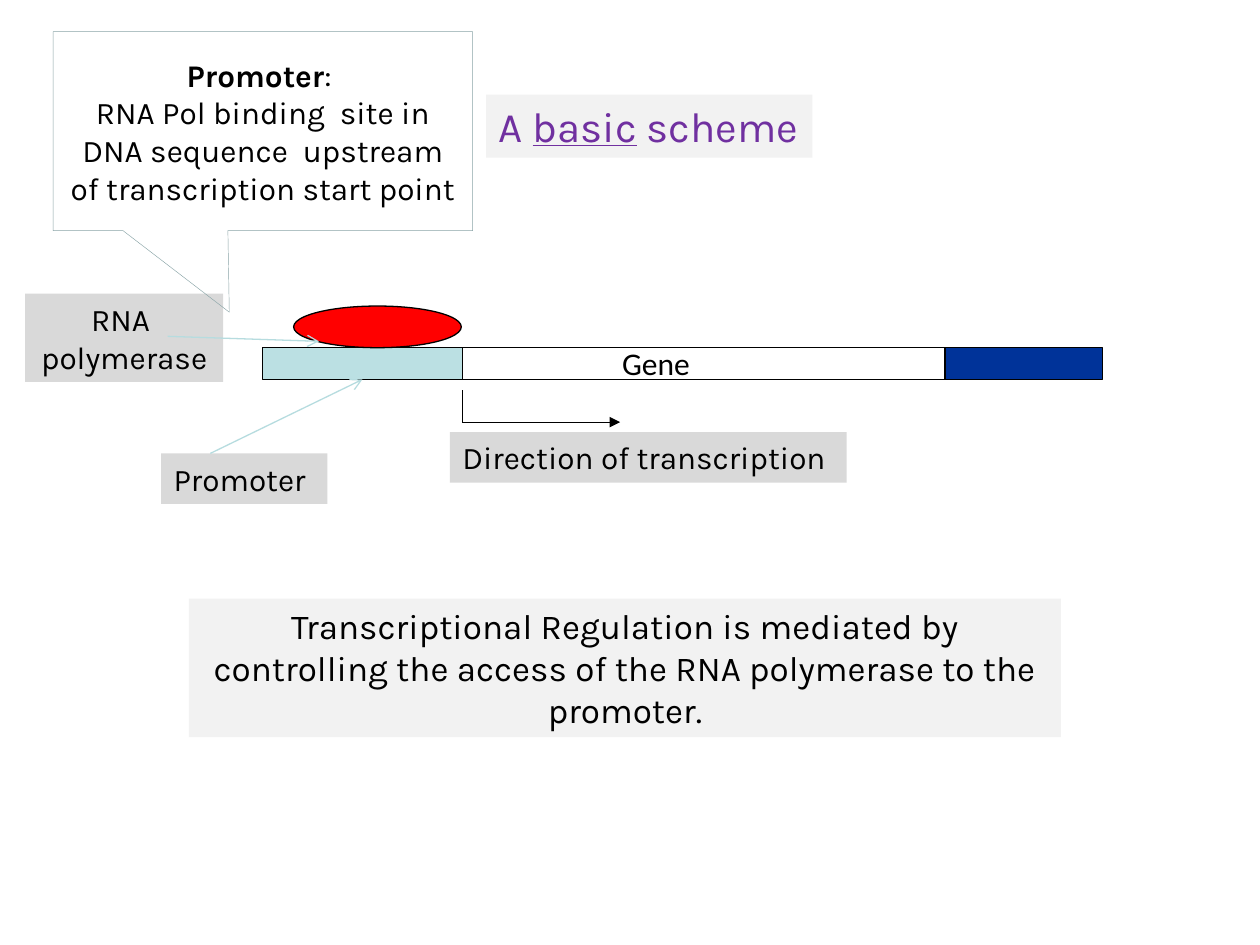
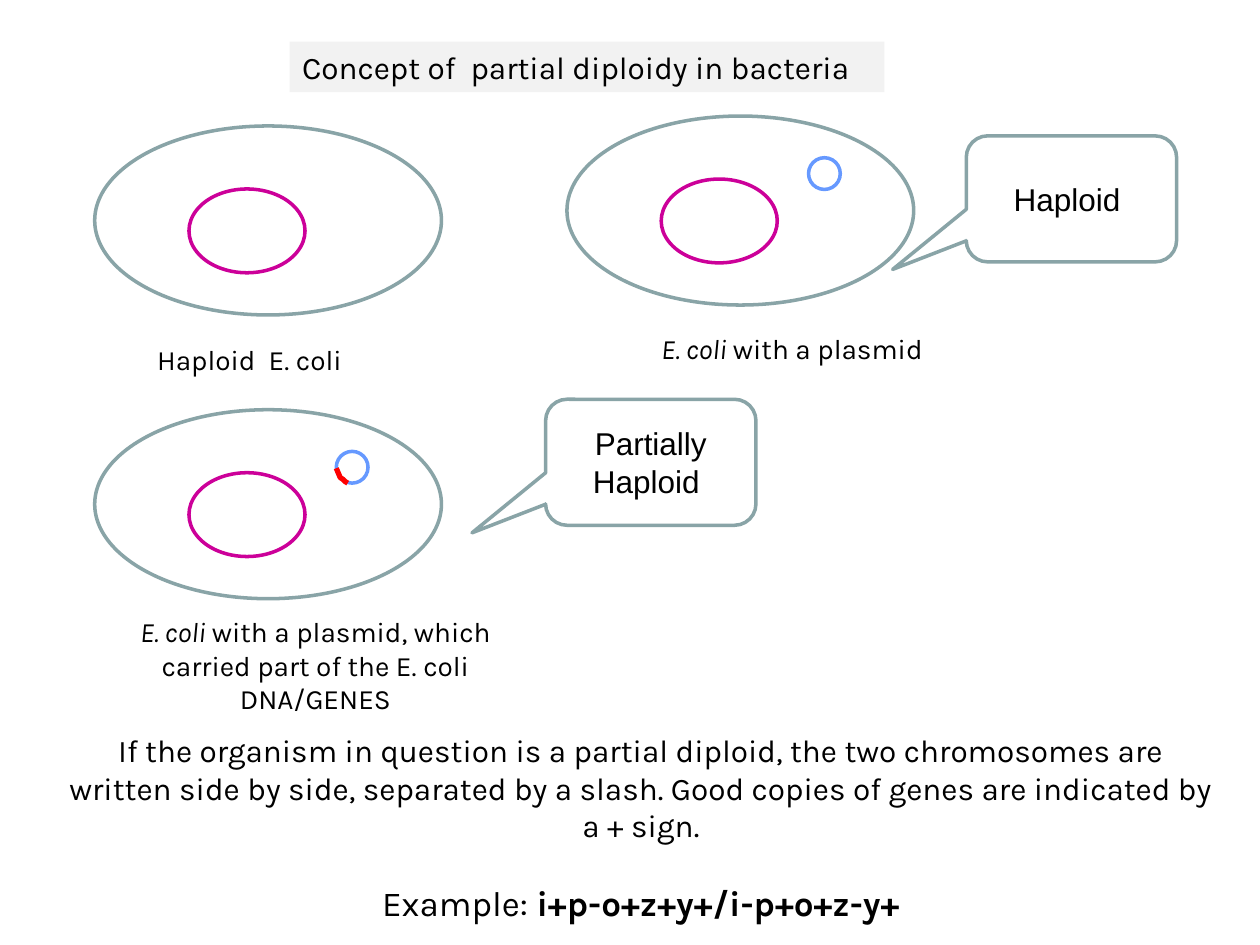
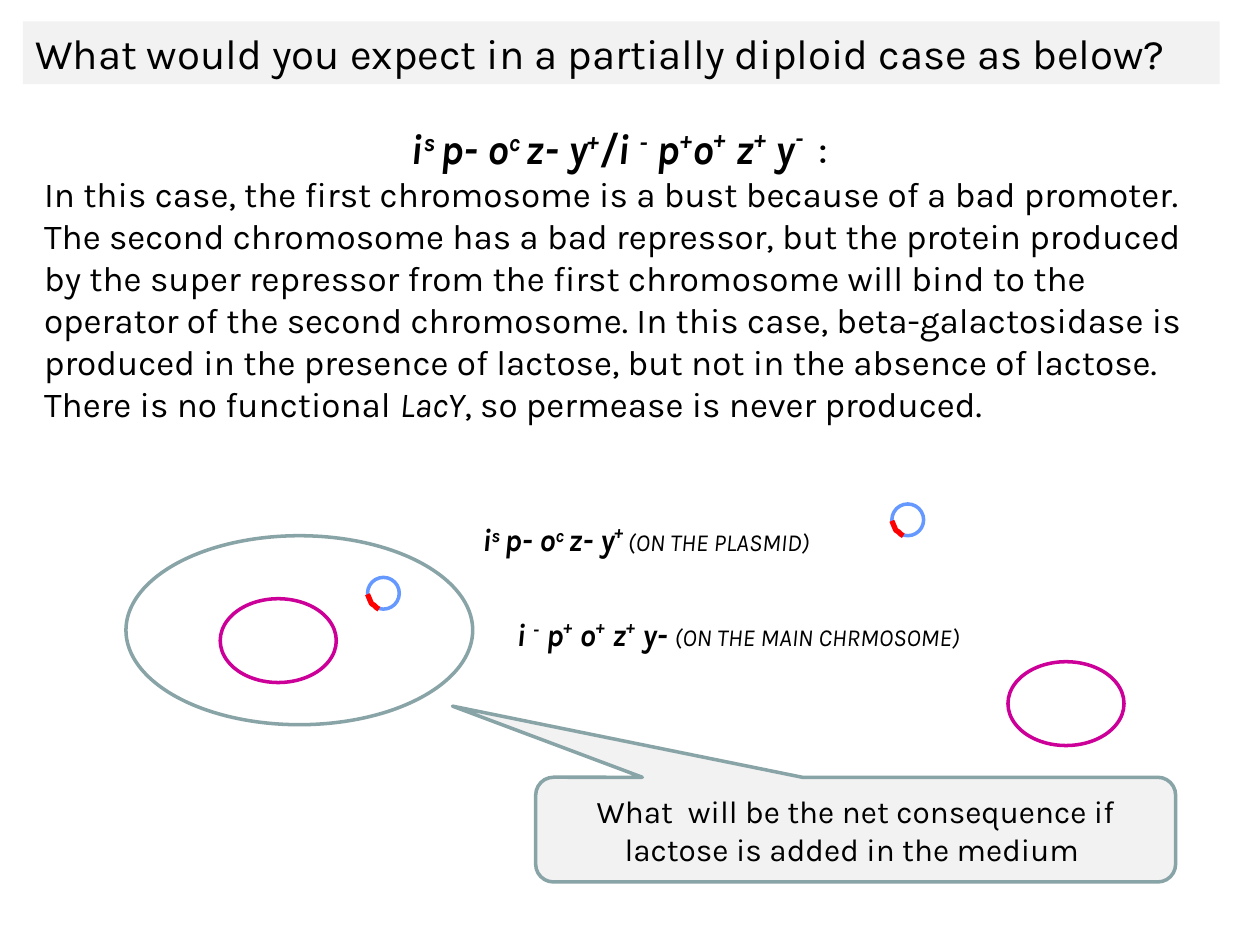
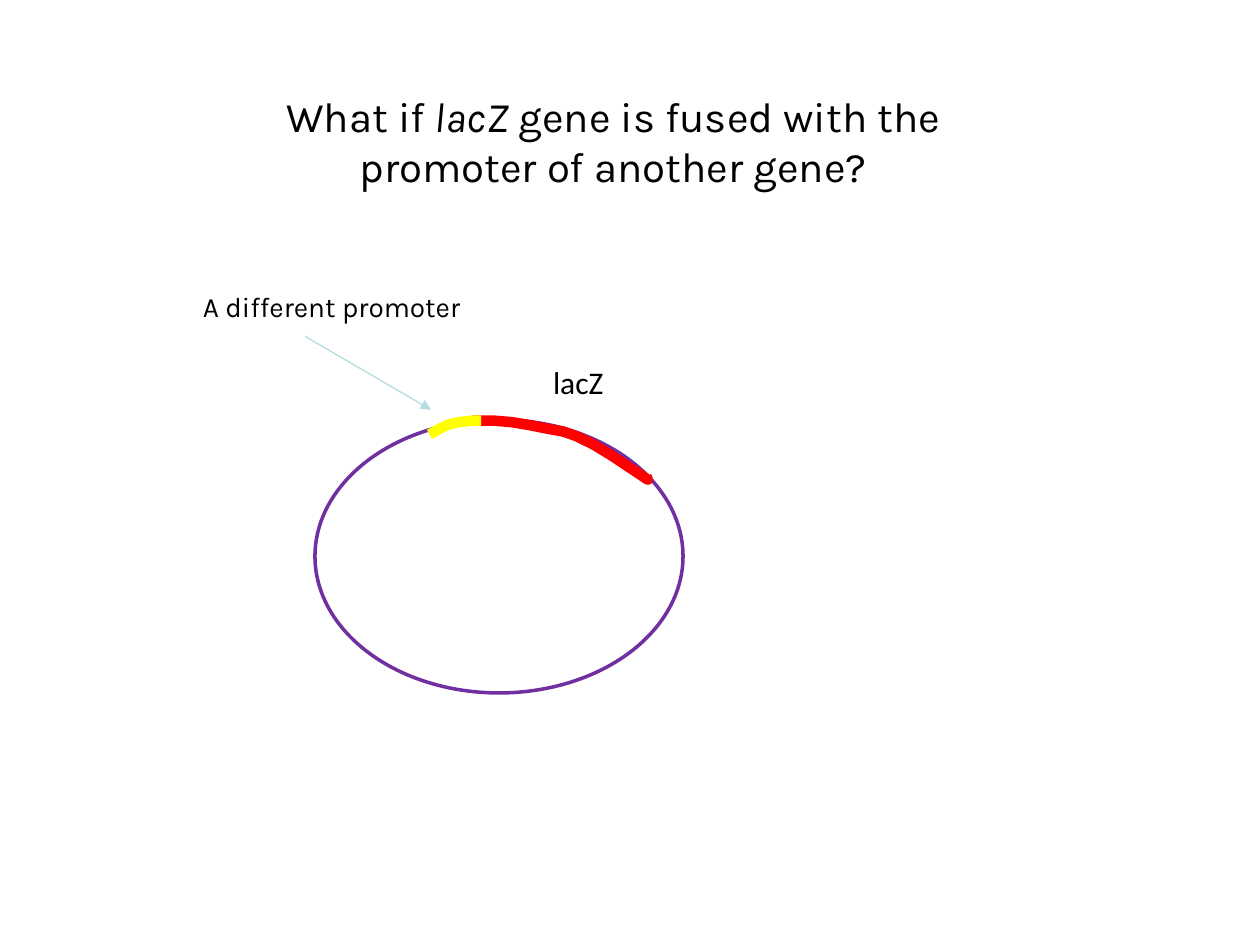
from dataclasses import dataclass
from typing import NamedTuple

from lxml import etree
from pptx import Presentation
from pptx.dml.color import RGBColor
from pptx.enum.shapes import MSO_CONNECTOR, MSO_SHAPE
from pptx.enum.text import MSO_ANCHOR, PP_ALIGN
from pptx.oxml.ns import qn
from pptx.util import Cm, Pt

RECTANGLE = MSO_SHAPE.RECTANGLE
OVAL = MSO_SHAPE.OVAL
SQUARE_CALLOUT = MSO_SHAPE.RECTANGULAR_CALLOUT
ROUND_CALLOUT = MSO_SHAPE.ROUNDED_RECTANGULAR_CALLOUT
STRAIGHT = MSO_CONNECTOR.STRAIGHT
LEFT, CENTER = PP_ALIGN.LEFT, PP_ALIGN.CENTER
TOP, MIDDLE = MSO_ANCHOR.TOP, MSO_ANCHOR.MIDDLE

# Shared look
BLACK, WHITE, RED, YELLOW = "000000", "FFFFFF", "FF0000", "FFFF00"
PALE, GREY, SLATE = "F2F2F2", "D9D9D9", "89A4A7"
AQUA, POINTER, NAVY = "BBE0E3", "B6DCDF", "003399"
MAGENTA, BLUE, PURPLE = "CC0099", "6699FF", "7030A0"
FONT, GENE_FONT, CALLOUT_FONT = "Karla", "Calibri", "Arial"
THIN, OUTLINE = 0.75, 2

# Cell parts, in cm from the corner of the cell
CELL_SIZE = (6.99, 3.81)
CHROMOSOME_OFFSET, CHROMOSOME_SIZE = (1.9, 1.27), (2.34, 1.69)
PLASMID_OFFSET, PLASMID_SIZE = (4.87, 0.84), (0.64, 0.64)
INSERT_POINTS = [(0, 0.34), (0.08, 0.53), (0.13, 0.56), (0.18, 0.61), (0.23, 0.64)]


class Frame(NamedTuple):
    left: float
    top: float
    width: float
    height: float


@dataclass
class Span:
    text: str
    bold: bool = False
    italic: bool = False
    underline: bool = False
    raised: int = 0
    size: float | None = None


@dataclass
class Paragraph:
    spans: list[Span]
    align: PP_ALIGN = LEFT
    size: float = 18
    font: str = FONT
    color: str = BLACK
    space_before: float = 0


@dataclass
class Block:
    """A shape or label with optional text."""
    frame: Frame
    paragraphs: tuple[Paragraph, ...] = ()
    kind: MSO_SHAPE = RECTANGLE
    fill: str | None = None
    line: str | None = None
    weight: float = THIN
    anchor: MSO_ANCHOR = TOP
    adjustments: tuple[float, ...] = ()


def rgb(value: str) -> RGBColor:
    return RGBColor.from_string(value)


def plain(text: str, **style) -> Paragraph:
    return Paragraph([Span(text)], **style)


def genotype(*parts: tuple[str, int]) -> list[Span]:
    """Bold italic gene names, each part with its raise in percent."""
    return [Span(text, bold=True, italic=True, raised=raised) for text, raised in parts]


def write(box, block: Block) -> None:
    frame = box.text_frame
    frame.word_wrap = True
    frame.vertical_anchor = block.anchor
    for index, content in enumerate(block.paragraphs):
        para = frame.paragraphs[0] if index == 0 else frame.add_paragraph()
        para.alignment = content.align
        if content.space_before:
            para.space_before = Pt(content.space_before)
        for piece in content.spans:
            span = para.add_run()
            span.text = piece.text
            values = {
                "name": content.font,
                "size": Pt(piece.size or content.size),
                "bold": piece.bold,
                "italic": piece.italic,
                "underline": piece.underline,
            }
            for name, value in values.items():
                setattr(span.font, name, value)
            span.font.color.rgb = rgb(content.color)
            if piece.raised:
                span._r.get_or_add_rPr().set("baseline", str(piece.raised * 1000))


def draw(page, block: Block):
    box = page.shapes.add_shape(block.kind, *map(Cm, block.frame))
    box.shadow.inherit = False
    for index, value in enumerate(block.adjustments):
        box.adjustments[index] = value
    if block.fill:
        box.fill.solid()
        box.fill.fore_color.rgb = rgb(block.fill)
    else:
        box.fill.background()
    if block.line:
        box.line.color.rgb = rgb(block.line)
        box.line.width = Pt(block.weight)
    else:
        box.line.fill.background()
    if block.paragraphs:
        write(box, block)
    return box


def draw_line(page, start: tuple, end: tuple, color: str, arrow: str | None = None):
    line = page.shapes.add_connector(STRAIGHT, *map(Cm, start + end))
    line.line.color.rgb = rgb(color)
    line.line.width = Pt(THIN)
    if arrow:
        etree.SubElement(line.line._get_or_add_ln(), qn("a:tailEnd"), type=arrow)
    etree.SubElement(line._element.spPr, qn("a:effectLst"))
    return line


def draw_stroke(page, points: list, color: str, weight: float) -> None:
    """Open outline through points given in cm."""
    corners = [(Cm(x), Cm(y)) for x, y in points]
    builder = page.shapes.build_freeform(*corners[0])
    builder.add_line_segments(corners[1:], close=False)
    stroke = builder.convert_to_shape()
    stroke.shadow.inherit = False
    stroke.fill.background()
    stroke.line.color.rgb = rgb(color)
    stroke.line.width = Pt(weight)


def draw_ring(page, corner: tuple, size: tuple, color: str) -> None:
    draw(page, Block(Frame(*corner, *size), kind=OVAL, line=color, weight=OUTLINE))


def shift(corner: tuple, offset: tuple) -> tuple:
    return corner[0] + offset[0], corner[1] + offset[1]


def draw_plasmid(page, corner: tuple, insert: bool) -> None:
    draw_ring(page, corner, PLASMID_SIZE, BLUE)
    if insert:
        draw_stroke(page, [shift(corner, point) for point in INSERT_POINTS], RED, 3)


def draw_cell(page, corner: tuple, plasmid: bool = True, insert: bool = False) -> None:
    draw_ring(page, corner, CELL_SIZE, SLATE)
    draw_ring(page, shift(corner, CHROMOSOME_OFFSET), CHROMOSOME_SIZE, MAGENTA)
    if plasmid:
        draw_plasmid(page, shift(corner, PLASMID_OFFSET), insert)


def basic_scheme(page) -> None:
    # DNA strip: promoter, gene, terminator
    left, parts = 5.29, []
    for width, fill in ((4.03, AQUA), (9.73, None), (3.17, NAVY)):
        parts.append(draw(page, Block(Frame(left, 7.01, width, 0.64), fill=fill, line=BLACK)))
        left += width
    promoter = parts[0]

    # Direction of transcription
    corner = (9.32, 8.51)
    draw_line(page, (9.32, 7.87), corner, BLACK)
    draw_line(page, corner, (12.5, 8.51), BLACK, "triangle")

    # Polymerase and labels
    blocks = [
        Block(Frame(5.92, 6.17, 3.38, 0.84), kind=OVAL, fill=RED, line=BLACK),
        Block(Frame(3.81, 12.07, 17.58, 2.79), (plain(
            "Transcriptional Regulation is mediated by controlling the access "
            "of the RNA polymerase to the promoter.", align=CENTER, size=20),), fill=PALE),
        Block(Frame(0.51, 5.92, 3.99, 1.78),
              (plain("RNA ", align=CENTER), plain("polymerase", align=CENTER)), fill=GREY),
        Block(Frame(12.29, 6.81, 2.01, 1.02), (plain("Gene", font=GENE_FONT),)),
        Block(Frame(3.25, 9.14, 3.35, 1.02), (plain("Promoter"),), fill=GREY),
        Block(Frame(9.07, 8.71, 8, 1.02), (plain("Direction of transcription"),), fill=GREY),
        Block(Frame(9.8, 1.91, 6.58, 1.27), (Paragraph(
            [Span("A "), Span("basic", underline=True), Span(" scheme")],
            size=24, color=PURPLE),), fill=PALE),
        Block(Frame(1.07, 0.64, 8.46, 4.01), (
            Paragraph([Span("Promoter", bold=True), Span(": ")], CENTER),
            plain("RNA Pol binding  site in DNA sequence  upstream of "
                  "transcription start point", align=CENTER)),
            kind=SQUARE_CALLOUT, line=SLATE, weight=0.25, anchor=MIDDLE,
            adjustments=(-0.08, 0.91)),
    ]
    for block in blocks:
        draw(page, block)

    # Pointers
    pointer = draw_line(page, (4.24, 9.14), (7.3, 7.65), POINTER, "arrow")
    pointer.end_connect(promoter, 2)
    draw_line(page, (3.38, 6.78), (6.43, 6.88), POINTER, "arrow")


def partial_diploidy(page) -> None:
    draw(page, Block(Frame(5.84, 0.84, 11.99, 1.02),
                     (plain("Concept of  partial diploidy in bacteria"),), fill=PALE))

    # Three kinds of cell
    draw_cell(page, (1.91, 2.54), plasmid=False)
    draw_cell(page, (11.43, 2.34))
    draw_cell(page, (1.91, 8.26), insert=True)

    # Captions
    species = Span("E. coli ", italic=True)
    captions = [
        (Frame(2.92, 6.78, 4.37, 0.94), [Span("Haploid  E. coli")], LEFT),
        (Frame(13.08, 6.55, 5.94, 0.94), [species, Span("with a plasmid")], LEFT),
        (Frame(1.7, 12.27, 9.32, 2.29), [species, Span(
            "with a plasmid, which carried part of the E. coli DNA/GENES")], CENTER),
    ]
    for frame, spans, align in captions:
        draw(page, Block(frame, (Paragraph(spans, align, size=16),)))

    # Callouts
    for left, top, text in ((19.48, 2.74, "Haploid "), (11, 8.05, "Partially Haploid ")):
        draw(page, Block(Frame(left, top, 4.24, 2.54),
                         (plain(text, align=CENTER, font=CALLOUT_FONT),),
                         kind=ROUND_CALLOUT, line=SLATE, weight=OUTLINE, anchor=MIDDLE,
                         adjustments=(-0.85, 0.56, 0.17)))

    # Notation
    draw(page, Block(Frame(1.07, 14.61, 23.7, 4.17), (
        plain("If the organism in question is a partial diploid, the two chromosomes are "
              "written side by side, separated by a slash. Good copies of genes are "
              "indicated by a + sign.", align=CENTER),
        Paragraph([Span("Example: "), Span("i+p-o+z+y+/i-p+o+z-y+", bold=True)],
                  CENTER, size=20, space_before=21))))


def diploid_question(page) -> None:
    # Genotype and explanation
    heading = [Span(" ")] + genotype(
        ("i", 0), ("s ", 30), ("p- o", 0), ("c ", 30), ("z- y", 0), ("+", 36),
        ("/i ", 0), ("-", 30), (" p", 0), ("+", 38), ("o", 0), ("+", 40),
        (" z", 0), ("+", 40), (" y", 0), ("- ", 40)) + [Span(" :")]
    explanation = [
        Span("In this case, the first chromosome is a bust because of a bad promoter. "
             "The second chromosome has a bad repressor, but the protein produced by the "
             "super repressor from the first chromosome will bind to the operator of the "
             "second chromosome. In this case, beta-galactosidase is produced in the "
             "presence of lactose, but not in the absence of lactose. There is no "
             "functional "),
        Span("LacY", italic=True),
        Span(", so permease is never produced."),
    ]
    draw(page, Block(Frame(0.64, 2.34, 23.5, 7.21), (
        Paragraph(heading, CENTER, size=24), Paragraph(explanation, size=20))))

    # Cell and question
    draw_cell(page, (2.54, 10.8), insert=True)
    draw(page, Block(Frame(10.8, 15.67, 12.9, 2.11), (plain(
        "What  will be the net consequence if lactose is added in the medium ",
        align=CENTER),), kind=ROUND_CALLOUT, fill=PALE, line=SLATE, weight=OUTLINE,
        anchor=MIDDLE, adjustments=(-0.63, -1.18, 0.17)))

    # Genes on each molecule
    on_plasmid = [Span(" ")] + genotype(
        ("i", 0), ("s ", 30), ("p- o", 0), ("c ", 30), ("z- y", 0), ("+ ", 40))
    on_chromosome = genotype(
        ("i ", 0), ("-", 30), (" p", 0), ("+", 40), (" o", 0), ("+", 40),
        (" z", 0), ("+", 40), (" y- ", 0))
    for frame, spans, place in (
        (Frame(9.32, 10.36, 9.53, 1.02), on_plasmid, "(ON THE PLASMID)"),
        (Frame(10.16, 12.27, 14.17, 1.02), on_chromosome, "(ON THE MAIN CHRMOSOME)"),
    ):
        draw(page, Block(frame, (Paragraph(spans + [Span(place, italic=True, size=14)]),)))
    draw_plasmid(page, (17.98, 10.16), insert=True)
    draw_ring(page, (20.32, 13.34), CHROMOSOME_SIZE, MAGENTA)

    draw(page, Block(Frame(0.46, 0.43, 24.13, 1.27), (plain(
        "What would you expect in a partially diploid case as below?", size=24),), fill=PALE))


def gene_fusion(page) -> None:
    draw(page, Block(Frame(5.28, 1.7, 14.17, 2.29), (Paragraph(
        [Span("What if "), Span("lacZ", italic=True),
         Span(" gene is fused with the promoter of another gene?")], CENTER, size=24),)))

    # Chromosome with the fused gene and its promoter
    draw_ring(page, (6.35, 8.46), (7.42, 5.51), PURPLE)
    lacz = [(9.53, 8.48), (9.95, 8.48), (10.31, 8.51), (10.67, 8.57), (11.02, 8.64),
            (11.35, 8.7), (11.61, 8.79), (11.96, 8.96), (12.34, 9.19), (12.7, 9.43),
            (13.06, 9.67), (13.03, 9.6)]
    new_promoter = [(8.66, 8.76), (8.85, 8.65), (9.04, 8.56), (9.25, 8.51),
                    (9.53, 8.48), (9.7, 8.48)]
    draw_stroke(page, lacz, RED, 6)
    draw(page, Block(Frame(10.9, 7.19, 1.52, 1.02), (plain("lacZ", font=GENE_FONT),)))
    draw_stroke(page, new_promoter, YELLOW, 6)

    # Promoter label
    draw_line(page, (6.15, 6.78), (8.69, 8.26), POINTER, "triangle")
    draw(page, Block(Frame(3.84, 5.72, 5.99, 0.94),
                     (plain("A different promoter", size=16),), line=WHITE))


def main() -> None:
    deck = Presentation()
    deck.slide_width, deck.slide_height = Cm(25.4), Cm(19.05)
    blank = deck.slide_layouts[6]
    for build in (basic_scheme, partial_diploidy, diploid_question, gene_fusion):
        build(deck.slides.add_slide(blank))
    deck.save("out.pptx")


if __name__ == "__main__":
    main()
